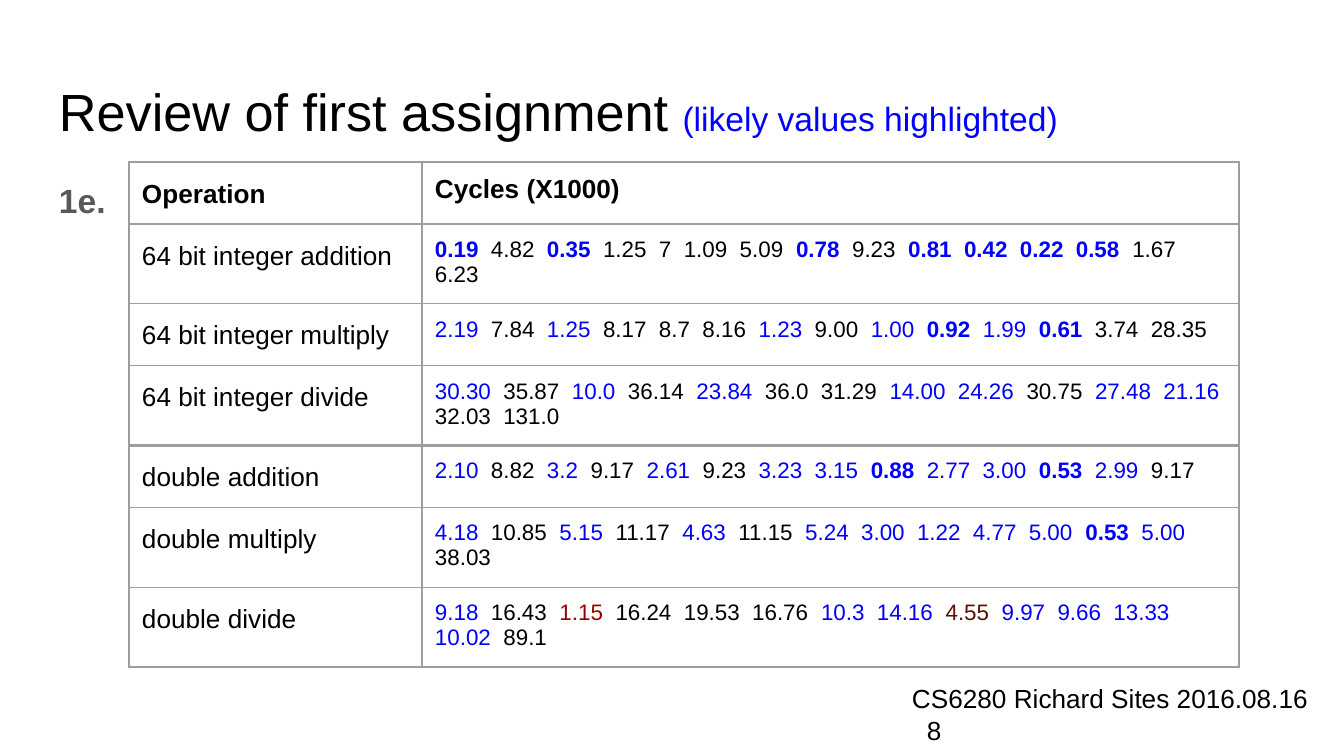
from itertools import groupby

from lxml.etree import SubElement
from pptx import Presentation
from pptx.dml.color import RGBColor
from pptx.enum.text import MSO_ANCHOR as Anchor
from pptx.oxml.ns import qn
from pptx.util import Emu, Pt

BLACK = RGBColor(0x00, 0x00, 0x00)
BLUE = RGBColor(0x00, 0x00, 0xFF)
GRAY = RGBColor(0x59, 0x59, 0x59)
RED = RGBColor(0x98, 0x00, 0x00)
BROWN = RGBColor(0x5B, 0x0F, 0x00)
BORDER = RGBColor(0x9E, 0x9E, 0x9E)

# Content
TITLE = [("Review of first assignment ", {"size": Pt(28), "color": BLACK}),
         ("(likely values highlighted)", {"size": Pt(18), "color": BLUE})]
QUESTION = [("1e.", {"size": Pt(18), "color": GRAY, "bold": True})]
FOOTER = [("CS6280 Richard Sites 2016.08.16 8", {"size": Pt(14), "color": BLACK})]
HEADERS = ("Operation", "Cycles (X1000)")

# A mark in front of a value gives its highlight
HIGHLIGHTS = {
    "": {"color": BLACK, "bold": False},
    "=": {"color": BLUE, "bold": False},
    "*": {"color": BLUE, "bold": True},
    "!": {"color": RED, "bold": False},
    "?": {"color": BROWN, "bold": False},
}
TIMINGS = [
    ("64 bit integer addition",
     "*0.19 4.82 *0.35 1.25 7 1.09 5.09 *0.78 9.23 *0.81 *0.42 *0.22 *0.58 1.67 6.23"),
    ("64 bit integer multiply",
     "=2.19 7.84 =1.25 8.17 8.7 8.16 =1.23 9.00 =1.00 *0.92 =1.99 *0.61 3.74 28.35"),
    ("64 bit integer divide",
     "=30.30 35.87 =10.0 36.14 =23.84 36.0 31.29 =14.00 =24.26 30.75 =27.48 =21.16 "
     "32.03 131.0"),
    ("double addition",
     "=2.10 8.82 =3.2 9.17 =2.61 9.23 =3.23 =3.15 *0.88 =2.77 =3.00 *0.53 =2.99 9.17"),
    ("double multiply",
     "=4.18 10.85 =5.15 11.17 =4.63 11.15 =5.24 =3.00 =1.22 =4.77 =5.00 *0.53 =5.00 "
     "38.03"),
    ("double divide",
     "=9.18 16.43 !1.15 16.24 19.53 16.76 =10.3 =14.16 ?4.55 =9.97 =9.66 =13.33 =10.02 "
     "89.1"),
]
VALUE_GAP = "  "
THICK_BELOW_ROW = 3  # between the integer and the double operations

# Layout in px
EMU_PER_PX = 914400 / 134.4
COLUMNS = (293, 817)
ROW_HEIGHT = 56
INSET = 13
PAGE_NUMBER_INDENT = 15


def px(length):
    return Emu(round(length * EMU_PER_PX))


def write(paragraph, runs):
    for text, formats in runs:
        run = paragraph.add_run()
        run.text = text
        run.font.name = "Arial"
        for name, value in formats.items():
            if name == "color":
                run.font.color.rgb = value
            else:
                setattr(run.font, name, value)


def set_insets(holder):
    for side in ("left", "top", "right", "bottom"):
        setattr(holder, f"margin_{side}", px(INSET))


def add_text(slide, box, runs, anchor=Anchor.TOP):
    frame = slide.shapes.add_textbox(*map(px, box)).text_frame
    frame.word_wrap = True
    frame.vertical_anchor = anchor
    set_insets(frame)
    write(frame.paragraphs[0], runs)
    return frame.paragraphs[0]


def value_runs(values):
    marked = [(v[0], v[1:]) if v[0] in HIGHLIGHTS else ("", v) for v in values.split()]
    runs = []
    for mark, group in groupby(marked, key=lambda pair: pair[0]):
        text = VALUE_GAP.join(value for _, value in group)
        lead = VALUE_GAP if runs else ""
        runs.append((lead + text, {"size": Pt(12), **HIGHLIGHTS[mark]}))
    return runs


def set_borders(cell, row):
    widths = {"L": 0.75, "R": 0.75,
              "T": 2.25 if row == THICK_BELOW_ROW + 1 else 0.75,
              "B": 2.25 if row == THICK_BELOW_ROW else 0.75}
    properties = cell._tc.get_or_add_tcPr()
    for side, width in widths.items():
        line = SubElement(properties, qn(f"a:ln{side}"), w=str(Pt(width)))
        fill = SubElement(line, qn("a:solidFill"))
        SubElement(fill, qn("a:srgbClr"), val=str(BORDER))


deck = Presentation()
deck.slide_width, deck.slide_height = px(1344), px(756)
slide = deck.slides.add_slide(deck.slide_layouts[6])

# Title and question number
add_text(slide, (46, 66, 1253, 85), TITLE)
add_text(slide, (46, 161, 1253, 503), QUESTION).line_spacing = 1.15

# Footer, with the page number on its indented second line
footer = add_text(slide, (899, 685, 427, 58), FOOTER, Anchor.MIDDLE)
footer_properties = footer._p.get_or_add_pPr()
footer_properties.set("marL", str(px(PAGE_NUMBER_INDENT)))
footer_properties.set("indent", str(-px(PAGE_NUMBER_INDENT)))

# Table of timings
label = {"size": Pt(14), "color": BLACK}
rows = [[[(header, {**label, "bold": True})] for header in HEADERS]]
rows += [[[(operation, label)], value_runs(values)] for operation, values in TIMINGS]
timings = slide.shapes.add_table(
    len(rows), len(COLUMNS), px(129), px(162),
    px(sum(COLUMNS)), px(ROW_HEIGHT * len(rows))).table
timings.first_row = timings.horz_banding = False
for column, width in zip(timings.columns, COLUMNS):
    column.width = px(width)
for r, row in enumerate(rows):
    for c, runs in enumerate(row):
        cell = timings.cell(r, c)
        set_insets(cell)
        set_borders(cell, r)
        cell.fill.background()
        paragraph = cell.text_frame.paragraphs[0]
        write(paragraph, runs)
        if c == 0:
            paragraph.line_spacing = 1.15

deck.save("out.pptx")
